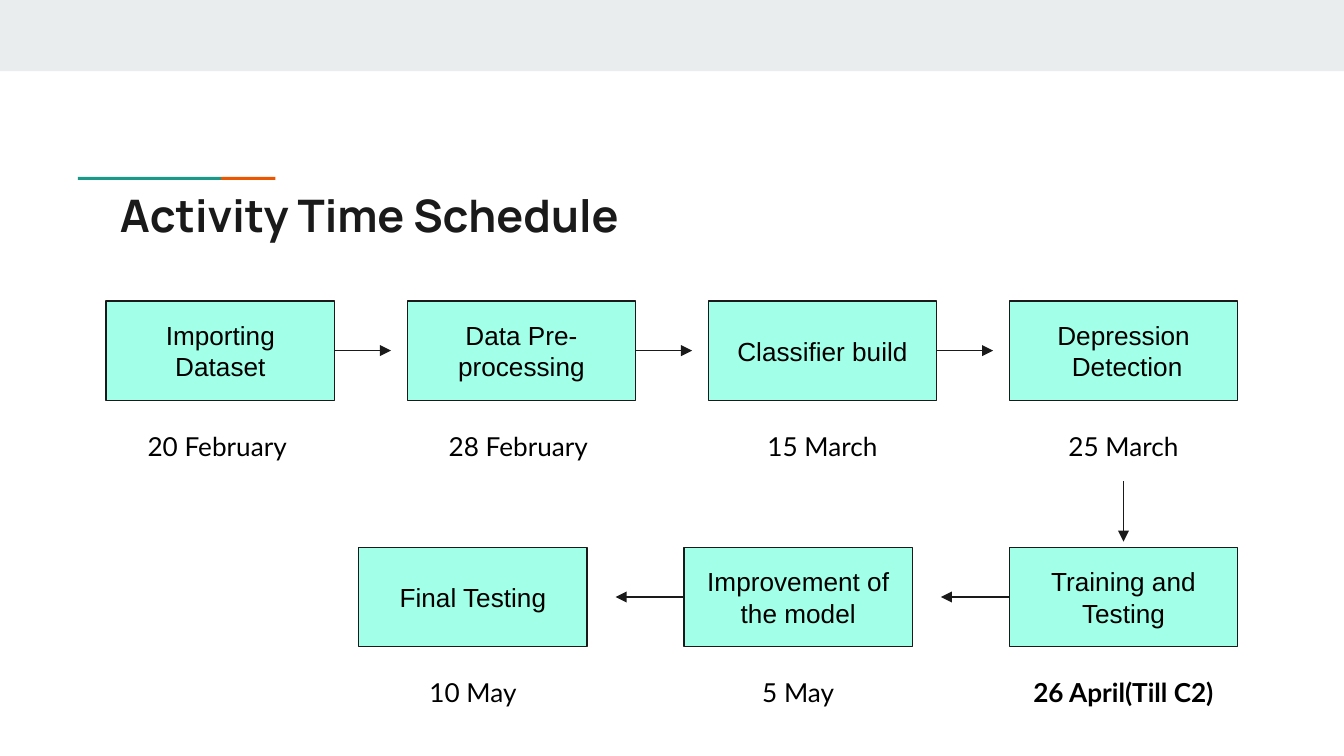
from lxml import etree
from pptx import Presentation
from pptx.dml.color import RGBColor
from pptx.enum.shapes import MSO_CONNECTOR, MSO_SHAPE
from pptx.enum.text import MSO_ANCHOR, PP_ALIGN
from pptx.oxml.ns import qn
from pptx.util import Pt

RECTANGLE = MSO_SHAPE.RECTANGLE
STRAIGHT = MSO_CONNECTOR.STRAIGHT
LEFT, CENTER = PP_ALIGN.LEFT, PP_ALIGN.CENTER
TOP, MIDDLE = MSO_ANCHOR.TOP, MSO_ANCHOR.MIDDLE
TITLE_ONLY = 5

INK, BLACK = "1A1A1A", "000000"
BAND, MINT, TEAL, ORANGE = "E9EDEE", "A2FFE8", "1A9988", "EB5600"
BOX_WIDTH, BOX_HEIGHT = 122.4, 53.3
DATE_OFFSET, DATE_HEIGHT = 62, 31.4

FIRST_ROW = [
    ("Importing\nDataset", "20 February "),
    ("Data Pre-processing", "28 February "),
    ("Classifier build", "15 March"),
    ("Depression\n Detection", "25 March"),
]
SECOND_ROW = [
    ("Training and Testing", "26 April(Till C2)"),
    ("Improvement of the model", "5 May"),
    ("Final Testing", "10 May"),
]


def color(value):
    """Turn a hex string into a colour."""
    return RGBColor.from_string(value)


class ScheduleSlide:
    """Hold the style and draw each kind of element on the slide."""

    def __init__(self, slide):
        """Keep the slide that is drawn on."""
        self.slide = slide

    def set_text(self, shape, text, font, size, ink, bold, align, anchor):
        """Fill a shape with text in one style."""
        frame = shape.text_frame
        frame.text = text
        frame.word_wrap = True
        frame.vertical_anchor = anchor
        frame.margin_left = frame.margin_right = Pt(7.2)
        frame.margin_top = frame.margin_bottom = Pt(7.2)
        for paragraph in frame.paragraphs:
            paragraph.alignment = align
            paragraph.font.name = font
            paragraph.font.size = Pt(size)
            paragraph.font.bold = bold
            paragraph.font.color.rgb = color(ink)

    def title(self, text, left, top, width, height):
        """Place and format the title placeholder."""
        shape = self.slide.shapes.title
        shape.left, shape.top = Pt(left), Pt(top)
        shape.width, shape.height = Pt(width), Pt(height)
        self.set_text(shape, text, "Manrope", 24, INK, True, LEFT, TOP)

    def rectangle(self, left, top, width, height, fill):
        """Draw a plain filled rectangle."""
        shape = self.slide.shapes.add_shape(
            RECTANGLE, Pt(left), Pt(top), Pt(width), Pt(height))
        shape.shadow.inherit = False
        shape.fill.solid()
        shape.fill.fore_color.rgb = color(fill)
        shape.line.fill.background()
        return shape

    def step(self, left, top, name, date):
        """Draw an activity box with its date below."""
        box = self.rectangle(left, top, BOX_WIDTH, BOX_HEIGHT, MINT)
        box.line.color.rgb = color(INK)
        box.line.width = Pt(0.75)
        self.set_text(box, name, "Arial", 14, BLACK, False, CENTER, MIDDLE)
        label = self.slide.shapes.add_textbox(
            Pt(left), Pt(top + DATE_OFFSET), Pt(BOX_WIDTH), Pt(DATE_HEIGHT))
        bold = "Till" in date
        self.set_text(label, date, "Lato", 14, BLACK, bold, CENTER, TOP)

    def arrow(self, start_x, start_y, end_x, end_y):
        """Draw a line with an arrowhead at its end."""
        connector = self.slide.shapes.add_connector(
            STRAIGHT, Pt(start_x), Pt(start_y), Pt(end_x), Pt(end_y))
        connector.line.color.rgb = color(INK)
        connector.line.width = Pt(0.75)
        properties = connector._element.spPr
        line = properties.find(qn("a:ln"))
        etree.SubElement(line, qn("a:tailEnd"), type="triangle")
        etree.SubElement(properties, qn("a:effectLst"))

    def row(self, steps, left, top, pitch, arrow_length):
        """Draw a row of steps; a negative pitch runs to the left."""
        middle = top + BOX_HEIGHT / 2
        for index, (name, date) in enumerate(steps):
            box_left = left + index * pitch
            self.step(box_left, top, name, date)
            if index < len(steps) - 1:
                start = box_left + (BOX_WIDTH if pitch > 0 else 0)
                end = start + (arrow_length if pitch > 0 else -arrow_length)
                self.arrow(start, middle, end, middle)


def main():
    """Build and save the schedule slide."""
    presentation = Presentation()
    presentation.slide_width, presentation.slide_height = Pt(720), Pt(405)
    layout = presentation.slide_layouts[TITLE_ONLY]
    schedule = ScheduleSlide(presentation.slides.add_slide(layout))
    schedule.rectangle(0, 0, 720, 38.2, BAND)
    schedule.rectangle(118.5, 94.8, 29, 1.6, ORANGE)
    schedule.rectangle(41.8, 94.8, 76.7, 1.6, TEAL)
    schedule.title("Activity Time Schedule", 57, 93.6, 303, 38.2)
    schedule.row(FIRST_ROW, 56.9, 161.2, 161.28, 30.2)
    schedule.arrow(601.9, 257.8, 601.9, 290.2)
    schedule.row(SECOND_ROW, 540.7, 293.2, -174.24, 36.7)
    presentation.save("out.pptx")


if __name__ == "__main__":
    main()
